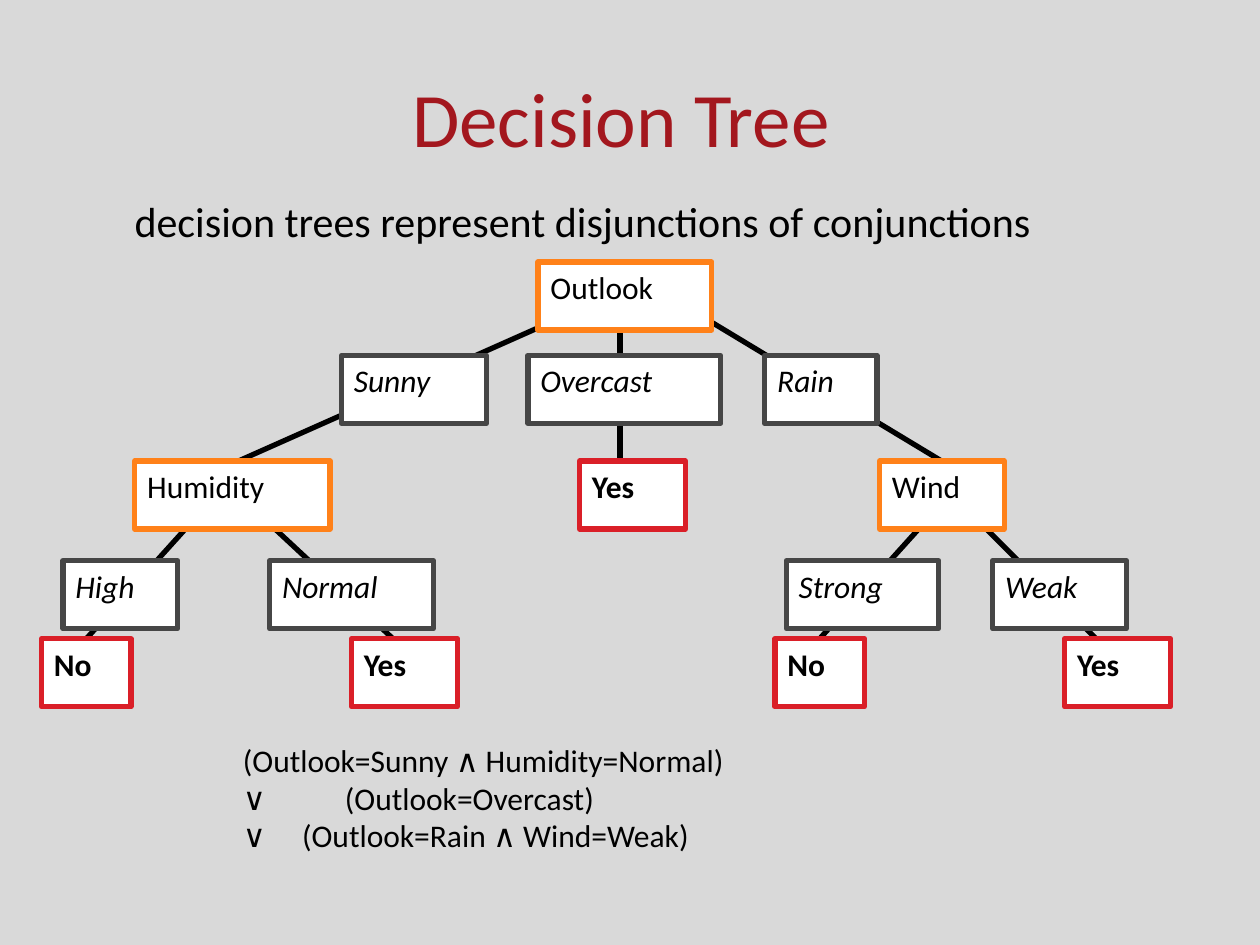
from lxml.etree import SubElement
from pptx import Presentation
from pptx.dml.color import RGBColor
from pptx.enum.shapes import MSO_CONNECTOR, MSO_SHAPE
from pptx.enum.text import MSO_ANCHOR, PP_ALIGN
from pptx.oxml.ns import qn
from pptx.util import Pt

PX = 9144  # 100 px to the inch
FONT = "Calibri"
BACKGROUND = RGBColor(0xD9, 0xD9, 0xD9)
WHITE = RGBColor(0xFF, 0xFF, 0xFF)
BLACK = RGBColor(0x00, 0x00, 0x00)
DARK_RED = RGBColor(0xA3, 0x17, 0x1E)
ORANGE = RGBColor(0xFF, 0x81, 0x19)
GREY = RGBColor(0x46, 0x46, 0x46)
RED = RGBColor(0xDA, 0x1F, 0x28)

TITLE = "Decision Tree"
SUBTITLE = "decision trees represent disjunctions of conjunctions"
# (text, tab stop in px)
FORMULA = [
    ("(Outlook=Sunny ∧ Humidity=Normal)", None),
    ("∨\t(Outlook=Overcast)", 81),
    ("∨\t(Outlook=Rain ∧ Wind=Weak)", 47),
]

KINDS = {
    "attribute": (ORANGE, {}),
    "value": (GREY, {"italic": True}),
    "answer": (RED, {"bold": True}),
}
NODE_HEIGHT = 54
LEVEL_TOPS = [208, 282, 366, 445, 507]
# (key, text, kind, level, left, width)
NODES = [
    ("outlook", "Outlook", "attribute", 0, 427, 138),
    ("sunny", "Sunny", "value", 1, 271, 115),
    ("overcast", "Overcast", "value", 1, 419, 153),
    ("rain", "Rain", "value", 1, 607, 89),
    ("humidity", "Humidity", "attribute", 2, 107, 155),
    ("overcast yes", "Yes", "answer", 2, 460, 84),
    ("wind", "Wind", "attribute", 2, 698, 99),
    ("high", "High", "value", 3, 50, 91),
    ("normal", "Normal", "value", 3, 214, 130),
    ("strong", "Strong", "value", 3, 624, 121),
    ("weak", "Weak", "value", 3, 788, 106),
    ("high no", "No", "answer", 4, 33, 71),
    ("normal yes", "Yes", "answer", 4, 279, 84),
    ("strong no", "No", "answer", 4, 615, 71),
    ("weak yes", "Yes", "answer", 4, 845, 84),
]
# (start x, start y, end x, level of end, node joined at its top)
BRANCHES = [
    (468, 242, 189, 2, None),
    (542, 242, 747, 2, "wind"),
    (492, 248, 492, 2, None),
    (165, 400, 66, 4, "high no"),
    (197, 400, 312, 4, None),
    (763, 400, 870, 4, None),
    (747, 400, 648, 4, "strong no"),
]


def scaled(*lengths):
    return [length * PX for length in lengths]


def write(para, text, size, color=BLACK, **extra):
    para.add_run().text = text
    font_format = {"name": FONT, "size": Pt(size), **extra}
    for span in para.runs:
        for name, value in font_format.items():
            setattr(span.font, name, value)
        span.font.color.rgb = color


def add_tab_stop(para, position):
    tabs = SubElement(para._p.get_or_add_pPr(), qn("a:tabLst"))
    SubElement(tabs, qn("a:tab"), pos=str(position * PX), algn="l")


def add_text_box(page, *place):
    frame = page.shapes.add_textbox(*scaled(*place)).text_frame
    frame.word_wrap = True
    return frame


def add_node(page, text, kind, level, left, width):
    color, style = KINDS[kind]
    place = scaled(left, LEVEL_TOPS[level], width, NODE_HEIGHT)
    box = page.shapes.add_shape(MSO_SHAPE.RECTANGLE, *place)
    box.shadow.inherit = False
    box.fill.solid()
    box.fill.fore_color.rgb = WHITE
    box.line.color.rgb = color
    box.line.width = Pt(3)
    frame = box.text_frame
    frame.vertical_anchor = MSO_ANCHOR.TOP
    para = frame.paragraphs[0]
    para.alignment = PP_ALIGN.LEFT
    write(para, text, 18, **style)
    return box


def add_branch(page, boxes, x, y, end_x, end_level, joined):
    ends = scaled(x, y, end_x, LEVEL_TOPS[end_level])
    line = page.shapes.add_connector(MSO_CONNECTOR.STRAIGHT, *ends)
    line.line.color.rgb = BLACK
    line.line.width = Pt(3)
    SubElement(line.element.spPr, qn("a:effectLst"))
    if joined:
        line.end_connect(boxes[joined], 0)
    boxes["outlook"].element.addprevious(line.element)  # behind the nodes


def main():
    deck = Presentation()
    deck.slide_width, deck.slide_height = scaled(1000, 750)
    page = deck.slides.add_slide(deck.slide_layouts[5])
    page.background.fill.solid()
    page.background.fill.fore_color.rgb = BACKGROUND

    title = page.shapes.title
    title.left, title.top, title.width, title.height = scaled(43, 30, 900, 125)
    title.text_frame.vertical_anchor = MSO_ANCHOR.MIDDLE
    para = title.text_frame.paragraphs[0]
    para.alignment = PP_ALIGN.CENTER
    write(para, TITLE, 44, DARK_RED)

    boxes = {key: add_node(page, *node) for key, *node in NODES}
    for branch in BRANCHES:
        add_branch(page, boxes, *branch)

    write(add_text_box(page, 97, 150, 746, 50).paragraphs[0], SUBTITLE, 24)

    frame = add_text_box(page, 183, 583, 586, 130)
    for index, (text, tab) in enumerate(FORMULA):
        para = frame.add_paragraph() if index else frame.paragraphs[0]
        if tab:
            add_tab_stop(para, tab)
        write(para, text, 18)

    deck.save("out.pptx")


if __name__ == "__main__":
    main()
